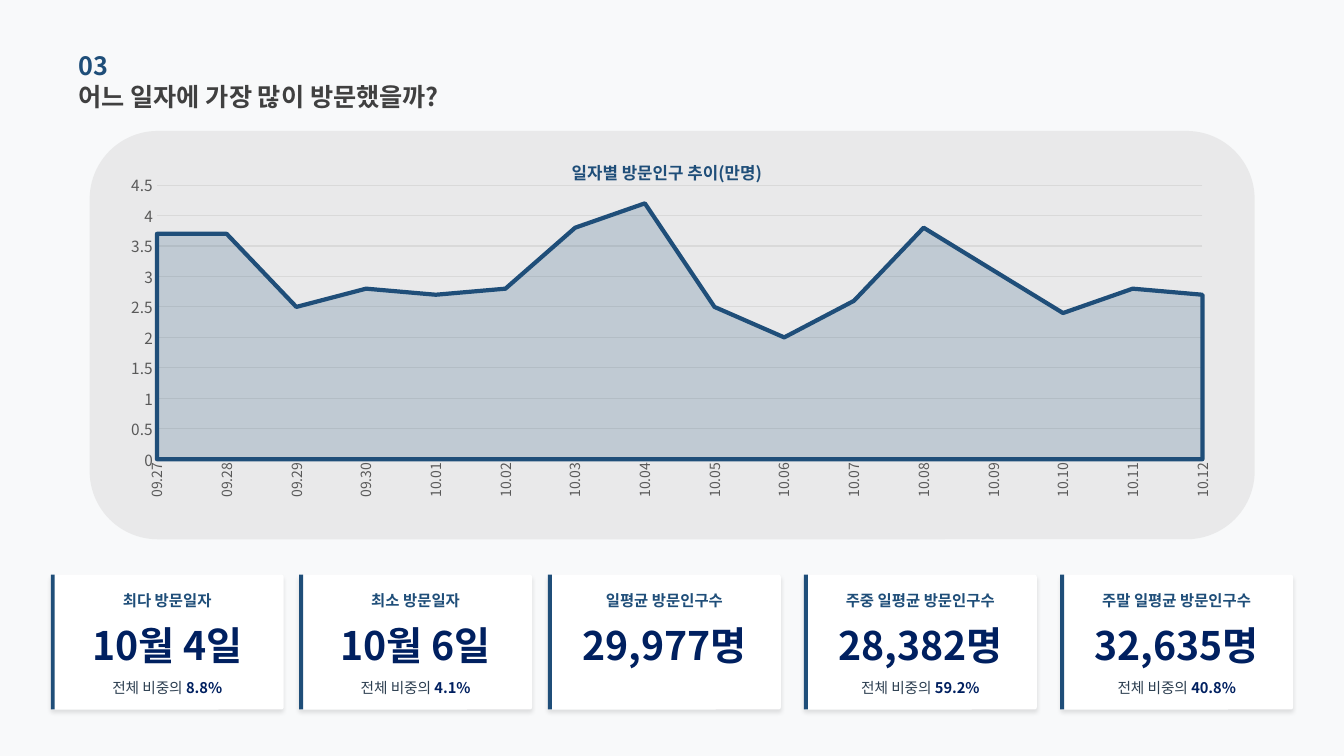
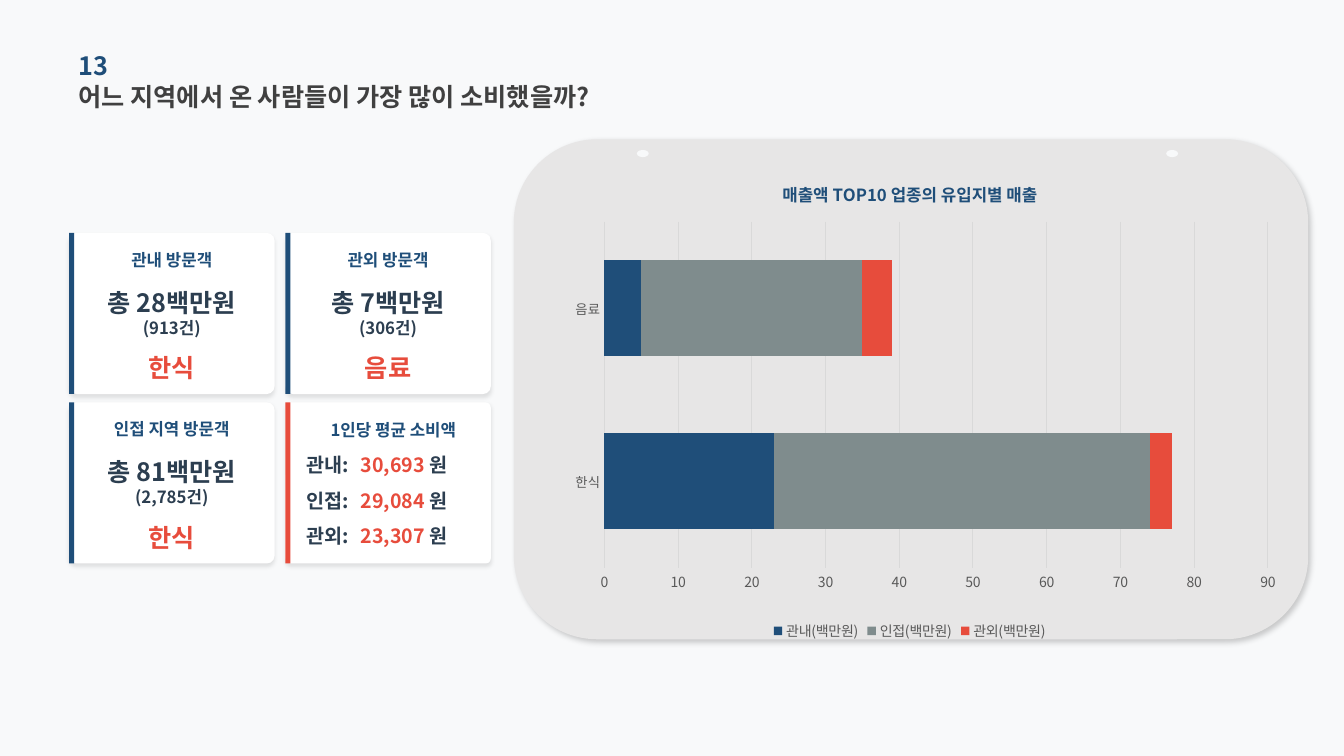
import lxml.etree
import pptx
import pptx.chart.data
import pptx.dml.color
import pptx.enum.chart
import pptx.enum.shapes
import pptx.enum.text
import pptx.oxml.ns
import pptx.util

Cm, Pt = pptx.util.Cm, pptx.util.Pt
RGB = pptx.dml.color.RGBColor
Kind = pptx.enum.chart.XL_CHART_TYPE
Shape = pptx.enum.shapes.MSO_SHAPE
Align = pptx.enum.text.PP_ALIGN
qn = pptx.oxml.ns.qn

FONT = "Noto Sans CJK KR"
PAPER = RGB(0xF8, 0xF9, 0xFA)
WHITE = RGB(0xFF, 0xFF, 0xFF)
BLUE = RGB(0x1F, 0x4E, 0x79)
NAVY = RGB(0x00, 0x20, 0x60)
INK = RGB(0x2C, 0x3E, 0x50)
DARK = RGB(0x40, 0x40, 0x40)
LABEL = RGB(0x59, 0x59, 0x59)
GRID = RGB(0xD9, 0xD9, 0xD9)
GRAY = RGB(0x7F, 0x8C, 0x8D)
RED = RGB(0xE7, 0x4C, 0x3C)
PANEL = RGB(0xD0, 0xCE, 0xCE)
BOARD = RGB(0xE7, 0xE6, 0xE6)

# Lengths are in centimetres.
FACTS = [  # left, heading, value, share
    (1.28, "최다 방문일자", "10월 4일", "8.8%"),
    (7.54, "최소 방문일자", "10월 6일", "4.1%"),
    (13.81, "일평균 방문인구수", "29,977명", None),
    (20.26, "주중 일평균 방문인구수", "28,382명", "59.2%"),
    (26.72, "주말 일평균 방문인구수", "32,635명", "40.8%"),
]
DAYS = {
    "09.27": 3.7, "09.28": 3.7, "09.29": 2.5, "09.30": 2.8,
    "10.01": 2.7, "10.02": 2.8, "10.03": 3.8, "10.04": 4.2,
    "10.05": 2.5, "10.06": 2, "10.07": 2.6, "10.08": 3.8,
    "10.09": 3.1, "10.10": 2.4, "10.11": 2.8, "10.12": 2.7,
}
GUESTS = [  # column, row, heading, sales, count, food
    (0, 0, "관내 방문객", "총 28백만원", "(913건)", "한식"),
    (1, 0, "관외 방문객", "총 7백만원", "(306건)", "음료"),
    (0, 1, "인접 지역 방문객", "총 81백만원", "(2,785건)", "한식"),
]
SPEND = [("관내:", "30,693 "), ("인접:", "29,084 "), ("관외:", "23,307 ")]
FOODS = ["한식", "음료"]
SALES = [
    ("관내(백만원)", (23, 5), BLUE),
    ("인접(백만원)", (51, 30), GRAY),
    ("관외(백만원)", (3, 4), RED),
]


def style(font, size, color, bold=False):
    """Set the look of a font, for Latin and Korean letters alike."""
    font.size, font.bold, font.name = Pt(size), bold, FONT
    font.color.rgb = color
    lxml.etree.SubElement(font._rPr, qn("a:ea"), typeface=FONT)


def fade(owner, share):
    """Give the first colour inside owner an opacity in percent."""
    color = next(owner._element.iter(qn("a:srgbClr")))
    lxml.etree.SubElement(color, qn("a:alpha"), val=str(share * 1000))


def draw(slide, kind, box, color):
    shape = slide.shapes.add_shape(kind, *map(Cm, box))
    shape.fill.solid()
    shape.fill.fore_color.rgb = color
    shape.line.fill.background()
    shape.shadow.inherit = False
    return shape


def shade(shape, share, blur, dist, angle):
    """Add an outer shadow: opacity in percent, points, degrees."""
    effects = next(shape._element.iter(qn("a:effectLst")))
    outer = lxml.etree.SubElement(
        effects, qn("a:outerShdw"), blurRad=str(Pt(blur)),
        dist=str(Pt(dist)), dir=str(angle * 60000), algn="ctr", rotWithShape="0")
    color = lxml.etree.SubElement(outer, qn("a:srgbClr"), val="000000")
    lxml.etree.SubElement(color, qn("a:alpha"), val=str(share * 1000))


def write(slide, box, *lines, align=Align.CENTER):
    """Write paragraphs; each is a list of (text, size, colour, bold) runs."""
    frame = slide.shapes.add_textbox(*map(Cm, box)).text_frame
    frame.word_wrap = True
    frame.vertical_anchor = pptx.enum.text.MSO_ANCHOR.MIDDLE
    frame.margin_left = frame.margin_right = 0
    frame.margin_top = frame.margin_bottom = 0
    for i, runs in enumerate(lines):
        para = frame.add_paragraph() if i else frame.paragraphs[0]
        para.alignment = align
        if len(runs) == 1:
            para.text = runs[0][0]
            style(para.font, *runs[0][1:])
            continue
        for text, *look in runs:
            run = para.add_run()
            run.text = text
            style(run.font, *look)


def start(deck, number, title):
    slide = deck.slides.add_slide(deck.slide_layouts[6])
    slide.background.fill.solid()
    slide.background.fill.fore_color.rgb = PAPER
    for top, text, color in ((1.12, number, BLUE), (1.9, title, DARK)):
        write(slide, (1.98, top, 14, 1.04), [(text, 18, color, True)], align=Align.LEFT)
    return slide


def card(slide, box, round_by, color=BLUE):
    """Draw a white card with a coloured strip along its left edge."""
    left, top, wide, high = box
    body = draw(slide, Shape.ROUNDED_RECTANGLE, box, WHITE)
    body.adjustments[0] = round_by
    shade(body, 10, 3, 2, 90)
    strip = 0.1 if wide > 5.5 else 0.13
    draw(slide, Shape.RECTANGLE, (left, top, strip, high), color)


def place(parent, index, inner=False, **spots):
    """Replace the automatic layout of a chart part by fixed fractions."""
    old = parent.find(qn("c:layout"))
    if old is not None:
        parent.remove(old)
    layout = lxml.etree.Element(qn("c:layout"))
    manual = lxml.etree.SubElement(layout, qn("c:manualLayout"))
    if inner:
        lxml.etree.SubElement(manual, qn("c:layoutTarget"), val="inner")
    for mode in ("xMode", "yMode"):
        lxml.etree.SubElement(manual, qn("c:" + mode), val="edge")
    for name, value in spots.items():
        lxml.etree.SubElement(manual, qn("c:" + name), val=str(value))
    parent.insert(index, layout)


def plot(slide, kind, box, cats, series, title, spot, area, top, step, sizes):
    """Add a chart with the shared title, axis and grid style."""
    data = pptx.chart.data.CategoryChartData()
    data.categories = cats
    for name, values, _ in series:
        data.add_series(name, values)
    chart = slide.shapes.add_chart(kind, *map(Cm, box), data).chart
    style(chart.font, 10, LABEL)
    chart.has_legend = False
    chart.has_title = True
    para = chart.chart_title.text_frame.paragraphs[0]
    para.text = title
    style(para.font, 12, BLUE, True)
    place(chart.chart_title._element, 1, x=spot[0], y=spot[1])
    place(chart.plots[0]._element.getparent(), 0, True, **dict(zip("xywh", area)))
    chart.plots[0].vary_by_categories = False
    for axis, size in zip((chart.category_axis, chart.value_axis), sizes):
        axis.major_tick_mark = pptx.enum.chart.XL_TICK_MARK.NONE
        axis.minor_tick_mark = pptx.enum.chart.XL_TICK_MARK.NONE
        style(axis.tick_labels.font, size, LABEL)
    rule = chart.category_axis.format.line
    value = chart.value_axis
    value.minimum_scale, value.maximum_scale, value.major_unit = 0, top, step
    value.has_major_gridlines = True
    value.format.line.fill.background()
    for line in (rule, value.major_gridlines.format.line):
        line.color.rgb, line.width = GRID, Pt(0.75)
    for item, (_, _, color) in zip(chart.plots[0].series, series):
        item.format.fill.solid()
        item.format.fill.fore_color.rgb = color
    return chart


def visits(deck):
    slide = start(deck, "03", "어느 일자에 가장 많이 방문했을까?")
    fade(draw(slide, Shape.ROUNDED_RECTANGLE, (2.26, 3.3, 29.36, 10.29), PANEL), 36)
    top, wide = 14.48, 5.87
    for left, head, value, share in FACTS:
        card(slide, (left, top, wide, 3.4), 0.018)
        write(slide, (left, top + 0.36, wide, 0.56), [(head, 11, BLUE, True)])
        write(slide, (left, top + 1.28, wide, 0.97), [(value, 28, NAVY, True)])
        if share:
            write(slide, (left, top + 2.59, wide, 0.53),
                  [("전체 비중의 ", 10.5, INK), (share, 10.5, NAVY, True)])
    chart = plot(
        slide, Kind.AREA, (2.74, 3.38, 28.27, 10.36), list(DAYS),
        [("방문인구", list(DAYS.values()), BLUE)], "일자별 방문인구 추이(만명)",
        (0.41, 0.05), (0.043, 0.124, 0.932, 0.667), 4.5, 0.5, (10, 11))
    area = chart.plots[0].series[0]
    fade(area, 20)
    area.format.line.color.rgb, area.format.line.width = BLUE, Pt(3)
    chart.value_axis._element.find(qn("c:crossBetween")).set("val", "midCat")
    body = next(chart.category_axis._element.iter(qn("a:bodyPr")))
    body.set("rot", "-5400000")
    body.set("vert", "horz")


def origins(deck):
    slide = start(deck, "13", "어느 지역에서 온 사람들이 가장 많이 소비했을까?")
    shade(draw(slide, Shape.ROUNDED_RECTANGLE, (12.95, 3.51, 20.02, 12.6), BOARD),
          20, 4, 3, 45)
    for left in (16.05, 29.39):
        draw(slide, Shape.OVAL, (left, 3.78, 0.3, 0.18), PAPER)

    cols, rows, wide, high = (1.74, 7.19), (5.87, 10.14), 5.18, 4.06
    for col, row, head, sales, count, food in GUESTS:
        left, top = cols[col], rows[row]
        card(slide, (left, top, wide, high), 0.048)
        write(slide, (left, top + 0.28, wide, 0.79), [(head, 12, BLUE, True)])
        write(slide, (left, top + 1.41, wide, 1.19),
              [(sales, 18, INK, True)], [(count, 12, INK, True)])
        write(slide, (left, top + 2.8, wide, 1.19), [(food, 18, RED, True)])

    left, top = cols[1], rows[1]
    card(slide, (left, top, wide, high), 0.032, RED)
    write(slide, (left + 1.14, top + 0.38, 3.9, 0.64),
          [("1인당 평균 소비액", 12, BLUE, True)], align=Align.LEFT)
    for i, (zone, money) in enumerate(SPEND):
        y = top + 1.2 + 0.89 * i
        write(slide, (left + 0.53, y, 1.5, 0.76), [(zone, 14, INK, True)], align=Align.LEFT)
        write(slide, (left + 1.9, y, 3.2, 0.76),
              [(money, 14, RED, True), ("원", 14, INK, True)], align=Align.LEFT)

    chart = plot(
        slide, Kind.BAR_STACKED, (13.26, 3.96, 19.33, 12.29), FOODS, SALES,
        "매출액 TOP10 업종의 유입지별 매출", (0.33, 0.04),
        (0.102, 0.133, 0.865, 0.709), 90, 10, (9.5, 10))
    chart.plots[0].gap_width, chart.plots[0].overlap = 80, 100
    chart.has_legend = True
    chart.legend.position = pptx.enum.chart.XL_LEGEND_POSITION.BOTTOM
    chart.legend.include_in_layout = False
    style(chart.legend.font, 10, LABEL)


def main():
    deck = pptx.Presentation()
    deck.slide_width, deck.slide_height = Cm(33.87), Cm(19.05)
    visits(deck)
    origins(deck)
    deck.save("out.pptx")


if __name__ == "__main__":
    main()
